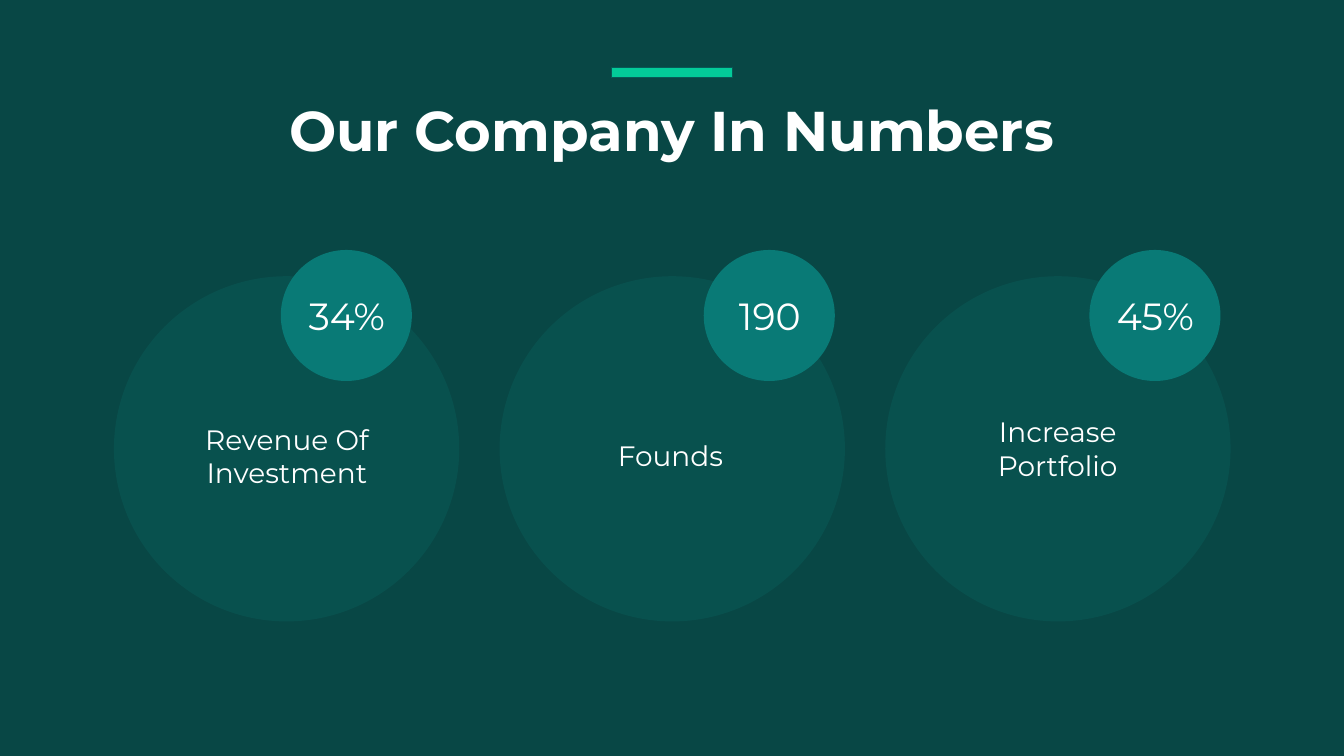
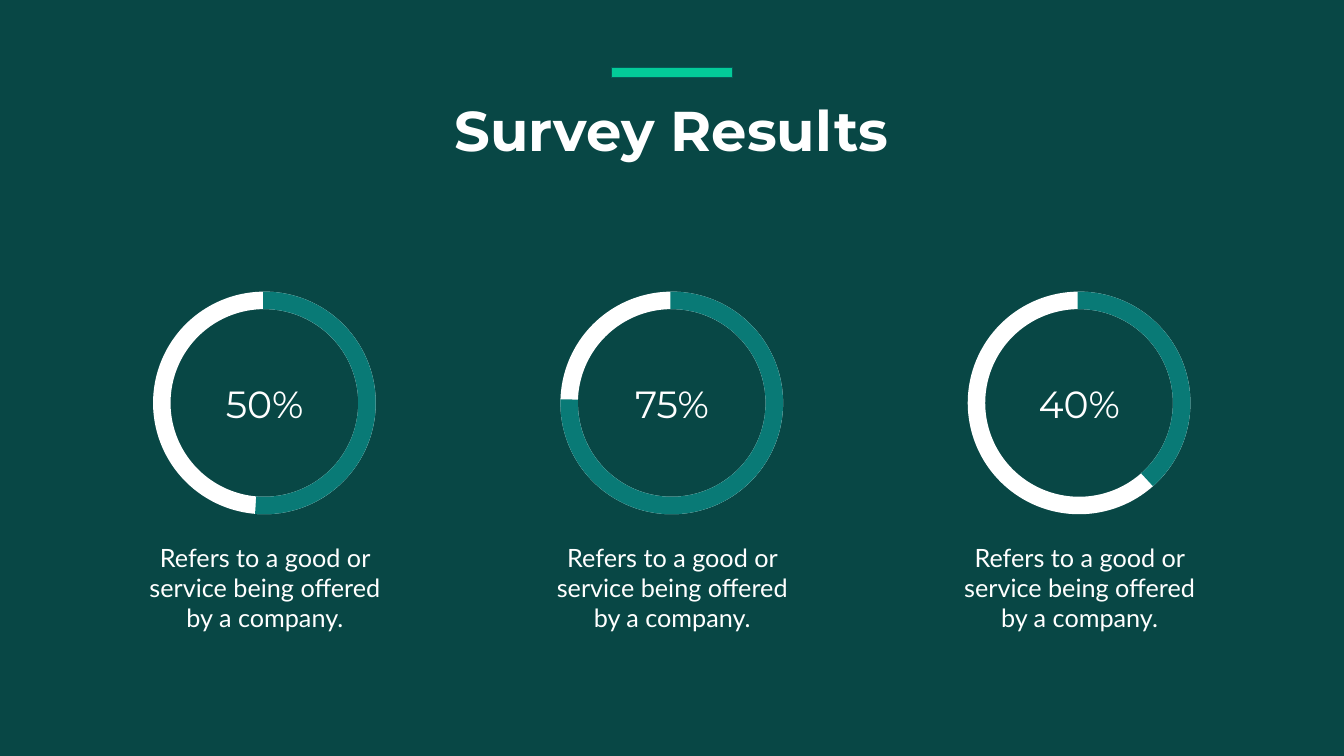
from pptx import Presentation
from pptx.dml.color import RGBColor
from pptx.enum.shapes import MSO_SHAPE as Shape
from pptx.enum.text import MSO_AUTO_SIZE as AutoSize, PP_ALIGN as Align
from pptx.oxml.ns import qn
from pptx.util import Inches, Pt
from lxml.etree import SubElement

DARK_GREEN = RGBColor(0x08, 0x47, 0x45)
TEAL = RGBColor(0x09, 0x7A, 0x76)
EDGE_GREEN = RGBColor(0x07, 0x5A, 0x57)
MINT = RGBColor(0x03, 0xCB, 0x99)
WHITE = RGBColor(0xFF, 0xFF, 0xFF)

HEADING_FONT = "Montserrat"
BODY_FONT = "Lato"
WIDTH, HEIGHT = 26.66, 15

CIRCLE_LEFT, CIRCLE_STEP, CIRCLE_SIZE = 2.26, 7.65, 6.85
BADGE_SIZE = 2.6
RING_LEFT, RING_STEP, RING_TOP, RING_SIZE = 3.21, 8.08, 5.96, 4.07
ARC_START = 161.56

NUMBERS = [
    ("34%", 5.57, "Revenue Of Investment", 3.38, 8.33, 1.45),
    ("190", 13.96, "Founds", 10.99, 8.66, 0.77),
    ("45%", 21.61, "Increase Portfolio", 18.67, 8.18, 1.45),
]
RESULTS = [("50%", 56.93), ("75%", 109.16), ("40%", 29.1)]
CAPTION = "Refers to a good or service being offered by a company."


def add_shape(shapes, kind, left, top, width, height, fill=None, line=None, weight=1):
    shape = shapes.add_shape(kind, Inches(left), Inches(top), Inches(width), Inches(height))
    shape.shadow.inherit = False
    if fill is None:
        shape.fill.background()
    else:
        shape.fill.solid()
        shape.fill.fore_color.rgb = fill
    if line is None:
        shape.line.fill.background()
    else:
        shape.line.color.rgb = line
        shape.line.width = Pt(weight)
    return shape


def add_circle(shapes, left, top, size, **style):
    return add_shape(shapes, Shape.OVAL, left, top, size, size, **style)


def set_opacity(shape, percent):
    color = shape.fill._xPr.find(qn("a:solidFill"))[0]
    SubElement(color, qn("a:alpha")).set("val", str(percent * 1000))


def add_text(shapes, text, left, top, width, height, size,
             font=HEADING_FONT, bold=False, margins=(0.1, 0.05)):
    box = shapes.add_textbox(Inches(left), Inches(top), Inches(width), Inches(height))
    frame = box.text_frame
    frame.word_wrap = True
    frame.auto_size = AutoSize.SHAPE_TO_FIT_TEXT
    frame.margin_left = frame.margin_right = Inches(margins[0])
    frame.margin_top = frame.margin_bottom = Inches(margins[1])
    para = frame.paragraphs[0]
    para.text = text
    para.alignment = Align.CENTER
    para.font.name = font
    para.font.size = Pt(size)
    para.font.bold = bold
    para.font.color.rgb = WHITE


def add_page(deck, title):
    page = deck.slides.add_slide(deck.slide_layouts[6])
    add_shape(page.shapes, Shape.RECTANGLE, 0, 0, WIDTH, HEIGHT, fill=DARK_GREEN)
    header = page.shapes.add_group_shape().shapes
    add_text(header, title, 4.49, 1.84, 17.67, 1.45, 80, bold=True)
    add_shape(header, Shape.RECTANGLE, 12.13, 1.34, 2.4, 0.2, fill=MINT, line=EDGE_GREEN)
    return page.shapes


def add_ring(shapes, left, label, arc_end):
    ring = shapes.add_group_shape().shapes
    add_circle(ring, left, RING_TOP, RING_SIZE, line=WHITE, weight=25)
    arc = add_shape(ring, Shape.ARC, left, RING_TOP, RING_SIZE, RING_SIZE,
                    line=TEAL, weight=25)
    arc.adjustments[0] = ARC_START
    arc.adjustments[1] = arc_end
    add_circle(ring, left + 0.28, RING_TOP + 0.27, 3.56, fill=DARK_GREEN)
    add_text(ring, label, left + 0.72, 7.5, 2.64, 1.01, 54)


def build_numbers(deck):
    shapes = add_page(deck, "Our Company In Numbers")
    for index in range(len(NUMBERS)):
        circle = add_circle(shapes, CIRCLE_LEFT + index * CIRCLE_STEP, 5.48,
                            CIRCLE_SIZE, fill=TEAL)
        set_opacity(circle, 20)
    for value, badge_left, label, left, top, height in NUMBERS:
        add_circle(shapes, badge_left, 4.96, BADGE_SIZE, fill=TEAL)
        add_text(shapes, value, badge_left + 0.21, 5.76, 2.2, 1.01, 54)
        add_text(shapes, label, left, top, 4.62, height, 40)


def build_survey(deck):
    shapes = add_page(deck, "Survey Results")
    for index, (label, arc_end) in enumerate(RESULTS):
        left = RING_LEFT + index * RING_STEP
        add_ring(shapes, left, label, arc_end)
        add_text(shapes, CAPTION, left - 0.57, 10.64, 5.23, 2.06, 36,
                 font=BODY_FONT, margins=(0.24, 0.12))


def main():
    deck = Presentation()
    deck.slide_width = Inches(WIDTH)
    deck.slide_height = Inches(HEIGHT)
    build_numbers(deck)
    build_survey(deck)
    deck.save("out.pptx")


main()
